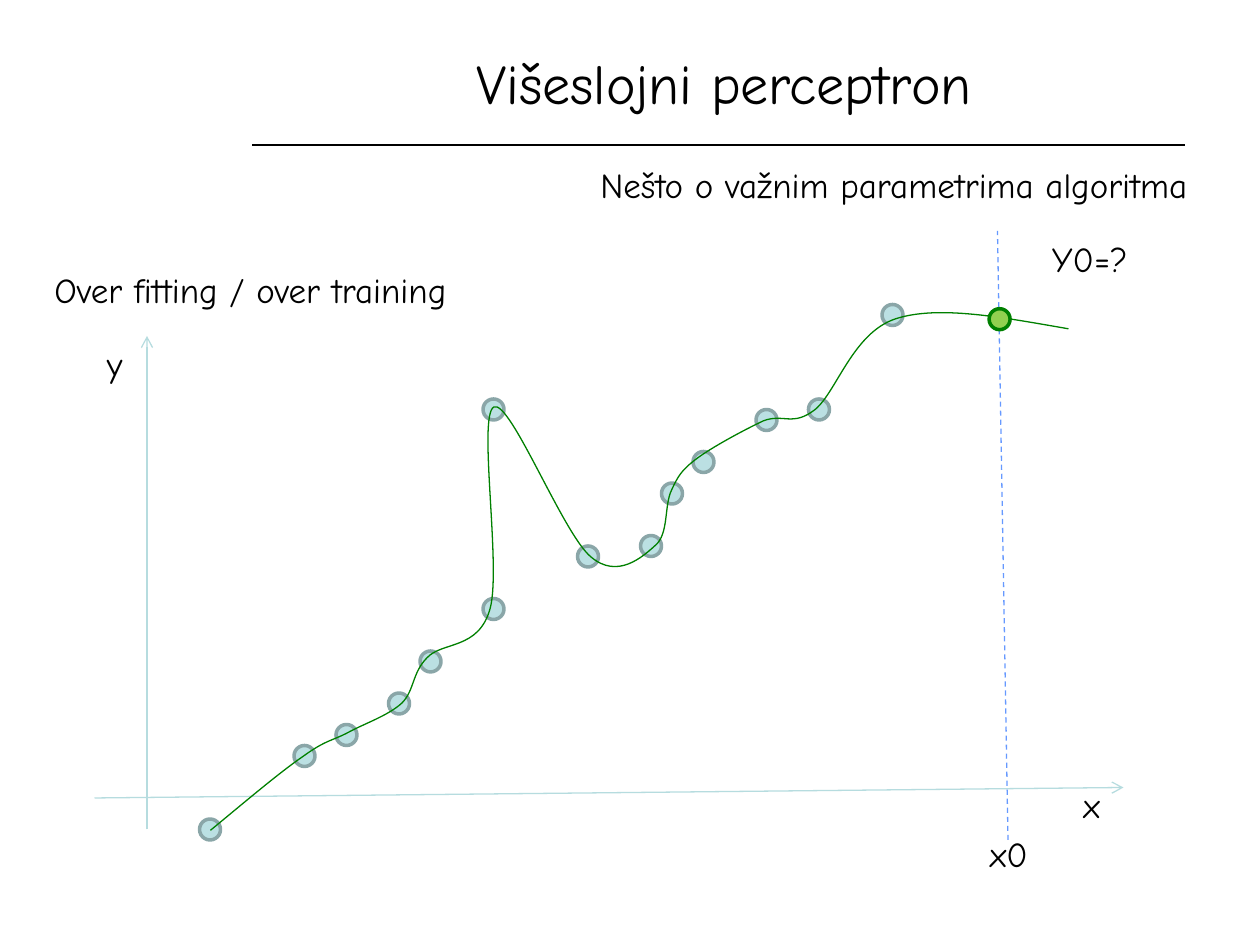
from typing import NamedTuple

from lxml import etree
from pptx import Presentation
from pptx.dml.color import RGBColor
from pptx.enum.dml import MSO_LINE
from pptx.enum.shapes import MSO_CONNECTOR, MSO_SHAPE
from pptx.enum.text import MSO_ANCHOR, MSO_AUTO_SIZE, PP_ALIGN
from pptx.oxml.ns import qn
from pptx.util import Inches, Pt

STRAIGHT = MSO_CONNECTOR.STRAIGHT
OVAL = MSO_SHAPE.OVAL
DASH = MSO_LINE.DASH
MIDDLE = MSO_ANCHOR.MIDDLE
FIT_SHAPE = MSO_AUTO_SIZE.SHAPE_TO_FIT_TEXT
CENTER = PP_ALIGN.CENTER

FONT = "Comic Neue"
BLACK, GREEN, AXIS, GUIDE = "000000", "008000", "B6DCDF", "6699FF"
CELLS_PER_INCH = 12
DOT_CELLS = 2
THIN = 0.75


class Line(NamedTuple):
    start: tuple[float, float]
    end: tuple[float, float]
    color: str
    arrow: bool = False
    dashed: bool = False


class Dot(NamedTuple):
    column: float
    row: float
    fill: str = "BBE0E3"
    outline: str = "8AA6A8"


class Label(NamedTuple):
    text: str
    column: float
    row: float
    columns: float


TITLE_RULE = Line((24, 13.8), (112.9, 13.8), BLACK)
AXES = [
    Line((14, 79), (14, 32), AXIS, arrow=True),
    Line((9, 76), (107, 75), AXIS, arrow=True),
]
X0_GUIDE = Line((96, 80), (95, 22), GUIDE, dashed=True)

# Centres of the training samples, in grid cells
SAMPLES = [
    Dot(*center) for center in [
        (20, 79), (29, 72), (33, 70), (38, 67), (41, 63), (47, 58), (47, 39),
        (56, 53), (62, 52), (64, 47), (67, 44), (73, 40), (78, 39), (85, 30),
    ]
]
PREDICTION = Dot(95.2, 30.4, "92D050", GREEN)

LABELS = [
    Label("Nešto o važnim parametrima algoritma", 56, 15, 64),
    Label("Over fitting / over training", 4, 25, 64),
    Label("x", 102, 74, 5),
    Label("y", 9, 32, 5),
    Label("x0", 93.1, 78.7, 7),
    Label("Y0=?", 99, 22, 11),
]

# Each Bézier segment in inches: two control points, then the end point
CURVE_START = (1.67, 6.59)
CURVE = [
    ((1.95, 6.36), (2.22, 6.13), (2.41, 6)),
    ((2.59, 5.87), (2.64, 5.88), (2.77, 5.81)),
    ((2.9, 5.74), (3.08, 5.68), (3.19, 5.58)),
    ((3.29, 5.48), (3.27, 5.34), (3.39, 5.22)),
    ((3.51, 5.09), (3.8, 5.16), (3.89, 4.83)),
    ((3.98, 4.5), (3.79, 3.3), (3.92, 3.23)),
    ((4.05, 3.17), (4.47, 4.24), (4.69, 4.42)),
    ((4.9, 4.6), (5.1, 4.42), (5.2, 4.33)),
    ((5.31, 4.24), (5.27, 4.01), (5.33, 3.89)),
    ((5.38, 3.78), (5.41, 3.73), (5.53, 3.64)),
    ((5.65, 3.55), (5.91, 3.41), (6.06, 3.34)),
    ((6.22, 3.28), (6.29, 3.39), (6.47, 3.25)),
    ((6.64, 3.11), (6.77, 2.64), (7.11, 2.53)),
    ((7.45, 2.42), (7.96, 2.52), (8.48, 2.61)),
]


def rgb(color: str) -> RGBColor:
    return RGBColor.from_string(color)


def cells(count: float) -> int:
    return Inches(count / CELLS_PER_INCH)


def set_line(line, color: str, width: float) -> None:
    line.color.rgb = rgb(color)
    line.width = Pt(width)


def write(text_frame, text: str, size: float) -> None:
    text_frame.text = text
    font = text_frame.paragraphs[0].runs[0].font
    font.name, font.size, font.color.rgb = FONT, Pt(size), rgb(BLACK)


def add_title(slide, text: str) -> None:
    title = slide.shapes.title
    title.left, title.top = cells(24), Inches(0.28)
    title.width, title.height = cells(90), cells(9)
    write(title.text_frame, text, 32)
    title.text_frame.vertical_anchor = MIDDLE
    title.text_frame.paragraphs[0].alignment = CENTER


def add_line(slide, spec_line: Line) -> None:
    connector = slide.shapes.add_connector(
        STRAIGHT, *map(cells, spec_line.start + spec_line.end))
    set_line(connector.line, spec_line.color, THIN)
    if spec_line.dashed:
        connector.line.dash_style = DASH
    properties = connector._element.spPr
    if spec_line.arrow:
        etree.SubElement(properties.find(qn("a:ln")), qn("a:tailEnd"), type="arrow")
    etree.SubElement(properties, qn("a:effectLst"))


def add_dot(slide, dot: Dot) -> None:
    radius = DOT_CELLS / 2
    circle = slide.shapes.add_shape(
        OVAL, cells(dot.column - radius), cells(dot.row - radius),
        cells(DOT_CELLS), cells(DOT_CELLS))
    circle.shadow.inherit = False
    circle.fill.solid()
    circle.fill.fore_color.rgb = rgb(dot.fill)
    set_line(circle.line, dot.outline, 2)


def add_label(slide, label: Label) -> None:
    box = slide.shapes.add_textbox(
        cells(label.column), cells(label.row), cells(label.columns), Inches(0.44))
    box.text_frame.word_wrap = True
    box.text_frame.auto_size = FIT_SHAPE
    write(box.text_frame, label.text, 20)


def add_curve(slide) -> None:
    """Draw the control polygon, then turn each three of its sides into a Bézier."""
    builder = slide.shapes.build_freeform(*map(Inches, CURVE_START))
    builder.add_line_segments(
        [(Inches(x), Inches(y)) for segment in CURVE for x, y in segment], close=False)
    curve = builder.convert_to_shape()
    curve.shadow.inherit = False
    curve.fill.background()
    set_line(curve.line, GREEN, THIN)

    sides = list(curve._element.iter(qn("a:lnTo")))
    for first, second, third in zip(sides[::3], sides[1::3], sides[2::3]):
        bezier = etree.Element(qn("a:cubicBezTo"))
        first.addprevious(bezier)
        for side in (first, second, third):
            bezier.append(side[0])
            side.getparent().remove(side)


def main() -> None:
    presentation = Presentation()
    presentation.slide_width, presentation.slide_height = Inches(10), Inches(7.5)
    title_only = presentation.slide_layouts[5]
    slide = presentation.slides.add_slide(title_only)

    add_title(slide, "Višeslojni perceptron")
    for line in [TITLE_RULE, *AXES]:
        add_line(slide, line)
    for sample in SAMPLES:
        add_dot(slide, sample)
    add_curve(slide)
    add_line(slide, X0_GUIDE)
    add_dot(slide, PREDICTION)
    for label in LABELS:
        add_label(slide, label)

    presentation.save("out.pptx")


if __name__ == "__main__":
    main()
